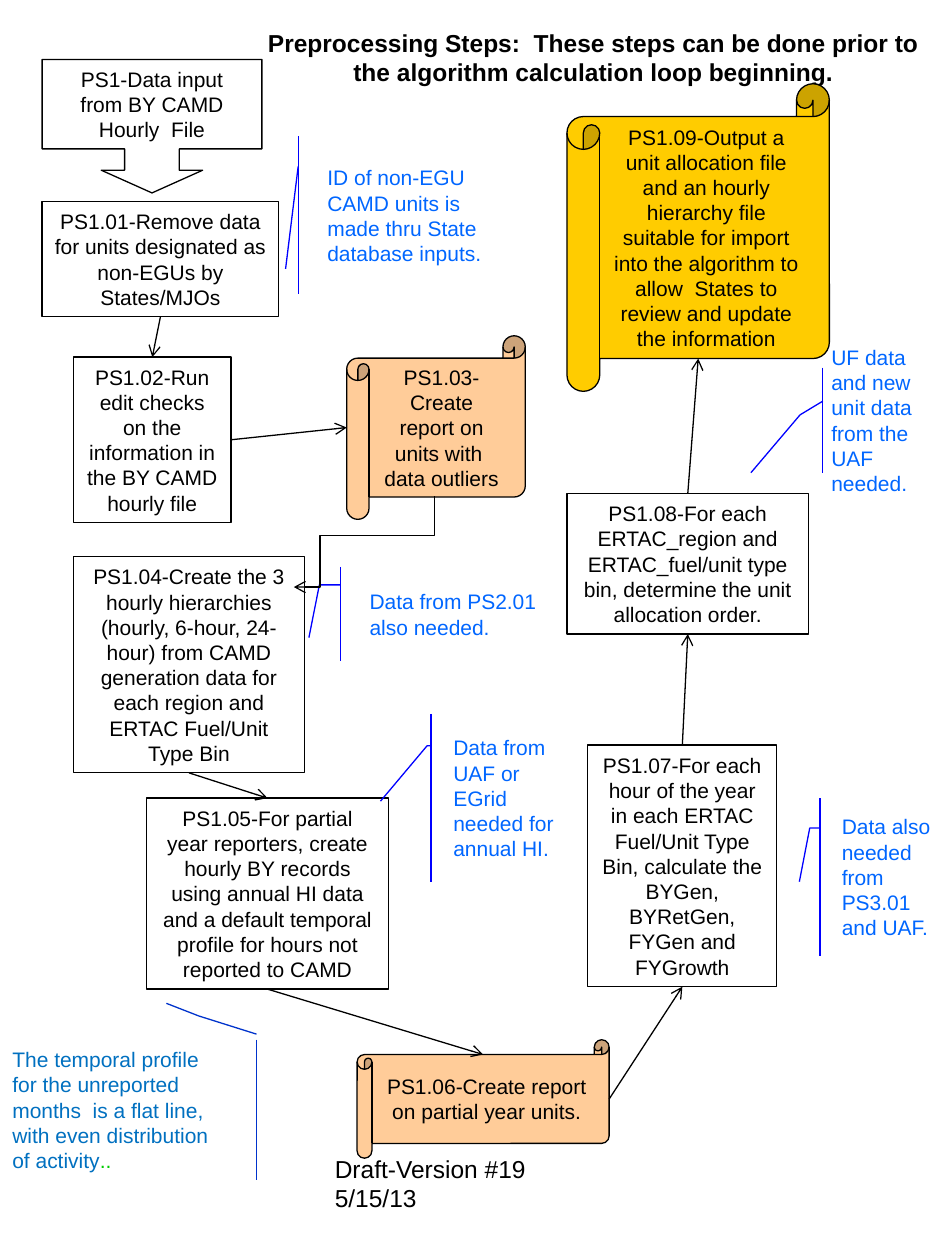
"""Build the preprocessing steps flowchart slide."""
import pptx
import pptx.dml.color
import pptx.enum.shapes
import pptx.enum.text
import pptx.oxml
import pptx.oxml.ns
import pptx.util

Cm = pptx.util.Cm
Pt = pptx.util.Pt
Kind = pptx.enum.shapes.MSO_SHAPE
Wire = pptx.enum.shapes.MSO_CONNECTOR
Align = pptx.enum.text.PP_ALIGN
Anchor = pptx.enum.text.MSO_ANCHOR
qn = pptx.oxml.ns.qn

BLACK, BLUE, PEACH, GOLD = "000000", "0066FF", "FFCC99", "FFCC00"
TOP, LEFT, BASE, RIGHT = range(4)
CURL = 0.125

STEPS = {
    "PS1": (Kind.DOWN_ARROW_CALLOUT, (0.85, 1.2, 4.43, 2.69), None,
            ["PS1-Data input", "from BY CAMD Hourly  File"]),
    "1.04": (Kind.RECTANGLE, (1.48, 11.22, 4.66, 4.36), None,
             ["PS1.04-Create the 3 hourly hierarchies (hourly, 6-hour, 24-hour) from CAMD "
              "generation data for each region and ERTAC Fuel/Unit Type Bin"]),
    "1.02": (Kind.RECTANGLE, (1.48, 7.2, 3.18, 3.33), None,
             ["PS1.02-Run edit checks on the information in the BY CAMD hourly file"]),
    "1.07": (Kind.RECTANGLE, (11.85, 15.02, 3.81, 4.87), None,
             ["PS1.07-For each hour of the year in each ERTAC Fuel/Unit Type Bin, "
              "calculate the BYGen, BYRetGen, FYGen and FYGrowth"]),
    "1.05": (Kind.RECTANGLE, (2.96, 16.09, 4.87, 3.85), None,
             ["PS1.05-For partial year reporters, create hourly BY records using annual HI "
              "data and a default temporal profile for hours not reported to CAMD"]),
    "1.03": (Kind.HORIZONTAL_SCROLL, (6.99, 6.77, 3.6, 3.7), PEACH,
             ["PS1.03-Create report on units with  data outliers"]),
    "1.08": (Kind.RECTANGLE, (11.43, 9.95, 4.87, 2.83), None,
             ["PS1.08-For each ERTAC_region and ERTAC_fuel/unit type bin, determine the "
              "unit allocation order."]),
    "1.01": (Kind.RECTANGLE, (0.85, 4.07, 4.77, 2.31), None,
             ["PS1.01-Remove data for units designated as non-EGUs by States/MJOs"]),
    "1.09": (Kind.HORIZONTAL_SCROLL, (11.43, 1.69, 5.29, 6.2), GOLD,
             ["PS1.09-Output a unit allocation file and an hourly hierarchy file suitable "
              "for import into the algorithm to allow  States to review and update the "
              "information"]),
    "1.06": (Kind.HORIZONTAL_SCROLL, (7.2, 20.96, 5.08, 2.39), PEACH,
             ["PS1.06-Create report on partial year units."]),
}

ADJUSTS = {
    Kind.DOWN_ARROW_CALLOUT: (0.41, 0.38, 0.17, 0.67),
    Kind.HORIZONTAL_SCROLL: (CURL,),
    Kind.RECTANGLE: (),
}

NOTES = [
    ((6.35, 2.75, 4.23, 3.18), (0.19, -0.08, 0.84, -0.14),
     "ID of non-EGU CAMD units is made thru State database inputs."),
    ((7.2, 11.43, 4.23, 1.9), (0.19, -0.08, 0.19, -0.18, 0.75, -0.23),
     "Data from PS2.01 also needed."),
    ((8.89, 14.39, 2.54, 3.39), (0.19, -0.08, 0.19, -0.11, 0.52, -0.48),
     "Data from UAF or EGrid needed for annual HI."),
    ((16.72, 16.09, 2.33, 3.18), (0.19, -0.08, 0.19, -0.17, 0.53, -0.26),
     "Data also needed from PS3.01 and UAF."),
    ((16.51, 7.41, 2.54, 2.12), (0.32, 0.03, 0.45, -0.15, 1, -0.54),
     "UF data and new unit data from the UAF needed."),
]

FLOWS = [
    ("1.01", BASE, "1.02", TOP), ("1.04", BASE, "1.05", TOP),
    ("1.05", BASE, "1.06", TOP), ("1.06", RIGHT, "1.07", BASE),
    ("1.07", TOP, "1.08", BASE), ("1.08", TOP, "1.09", BASE),
    ("1.02", RIGHT, "1.03", LEFT),
]


def paint(target, code):
    """Apply a hex colour to a colour format."""
    target.rgb = pptx.dml.color.RGBColor.from_string(code)


def style(para, size, code, align=Align.LEFT, bold=False):
    """Format a whole paragraph."""
    para.alignment = align
    para.font.name, para.font.size, para.font.bold = "Arial", Pt(size), bold
    paint(para.font.color, code)


def place(shape, box):
    """Move and size a shape."""
    shape.left, shape.top, shape.width, shape.height = map(Cm, box)


def draw(slide, kind, box, adjust, line, fill=None):
    """Add an outlined shape with middle anchored text."""
    shape = slide.shapes.add_shape(kind, *map(Cm, box))
    shape.shadow.inherit = False
    for index, value in enumerate(adjust):
        shape.adjustments[index] = value
    shape.line.width = Pt(0.75)
    paint(shape.line.color, line)
    if fill:
        shape.fill.solid()
        paint(shape.fill.fore_color, fill)
    else:
        shape.fill.background()
    shape.text_frame.word_wrap = True
    shape.text_frame.vertical_anchor = Anchor.MIDDLE
    return shape


def step(slide, kind, box, fill, lines):
    """Add one process step."""
    shape = draw(slide, kind, box, ADJUSTS[kind], BLACK, fill)
    shape.text_frame.text = "\n".join(lines)
    for para in shape.text_frame.paragraphs:
        style(para, 12, BLACK, Align.CENTER)
    return shape


def note(slide, box, adjust, text, line="0000FF", code=BLUE):
    """Add a side note with a leader line and return its paragraph."""
    kind = Kind.LINE_CALLOUT_1_ACCENT_BAR if len(adjust) == 4 else Kind.LINE_CALLOUT_2_ACCENT_BAR
    para = draw(slide, kind, box, adjust, line).text_frame.paragraphs[0]
    para.add_run().text = text
    style(para, 12, code)
    return para


def point(name, site):
    """Find where an arrow meets a step."""
    kind, (x, y, w, h) = STEPS[name][:2]
    curl = CURL * min(w, h) if kind == Kind.HORIZONTAL_SCROLL else 0
    spots = [(x + w / 2, y + curl), (x, y + h / 2), (x + w / 2, y + h - curl), (x + w, y + h / 2)]
    return [Cm(value) for value in spots[site]]


def arrow(slide, kind, start, end):
    """Add a thin black connector with an open arrowhead."""
    wire = slide.shapes.add_connector(kind, *start, *end)
    wire.line.width = Pt(0.75)
    paint(wire.line.color, BLACK)
    wire.line._get_or_add_ln().append(pptx.oxml.parse_xml(
        f'<a:tailEnd {pptx.oxml.ns.nsdecls("a")} type="arrow"/>'))
    wire._element.spPr.append(pptx.oxml.parse_xml(
        f'<a:effectLst {pptx.oxml.ns.nsdecls("a")}/>'))
    return wire


def flow(slide, shapes, source, out, target, into):
    """Join two steps with a glued straight arrow."""
    start, end = point(source, out), point(target, into)
    wire = arrow(slide, Wire.STRAIGHT, start, end)
    wire.begin_connect(shapes[source], out)
    wire.end_connect(shapes[target], into)
    wire.begin_x, wire.begin_y = start
    wire.end_x, wire.end_y = end


def bend(slide):
    """Add the elbow arrow from step 1.03 to step 1.04."""
    wire = arrow(slide, Wire.ELBOW, (Cm(8.26), Cm(11.33)), (Cm(6.43), Cm(9.5)))
    wire.width, wire.height = Cm(1.83), Cm(2.84)
    wire.left, wire.top = Cm(6.43), Cm(9.5)
    props = wire._element.spPr
    props.find(qn("a:xfrm")).set("rot", "16200000")
    shape = props.find(qn("a:prstGeom"))
    shape.set("prst", "bentConnector4")
    guides = shape.find(qn("a:avLst"))
    for name, value in (("adj1", 43200), ("adj2", 81500)):
        guides.append(pptx.oxml.parse_xml(
            f'<a:gd {pptx.oxml.ns.nsdecls("a")} name="{name}" fmla="val {value}"/>'))


def main():
    """Build and save the slide."""
    deck = pptx.Presentation()
    deck.slide_width, deck.slide_height = Cm(19.05), Cm(25.4)
    slide = deck.slides.add_slide(deck.slide_layouts[5])
    title = slide.shapes.title
    place(title, (4.88, 0.43, 14.17, 1.45))
    title.text_frame.text = ("Preprocessing Steps:  These steps can be done prior to "
                             "the algorithm calculation loop beginning.")
    style(title.text_frame.paragraphs[0], 14, BLACK, Align.CENTER, True)
    draft = slide.shapes.add_textbox(*map(Cm, (6.5, 23.14, 6.05, 1.75))).text_frame
    draft.word_wrap = True
    draft.text = "Draft-Version #19 5/15/13"
    style(draft.paragraphs[0], 14, BLACK)
    shapes = {name: step(slide, *data) for name, data in STEPS.items()}
    for data in NOTES:
        note(slide, *data)
    for data in FLOWS:
        flow(slide, shapes, *data)
    bend(slide)
    para = note(slide, (0, 20.96, 4.66, 2.82), (-0.04, 1.11, -0.17, 0.86, -0.26, 0.72),
                "The temporal profile for the unreported months  is a flat line, "
                "with even distribution of activity", "0033CC", "0070C0")
    dots = para.add_run()
    dots.text = ".."
    paint(dots.font.color, "00CC00")
    deck.save("out.pptx")


main()
